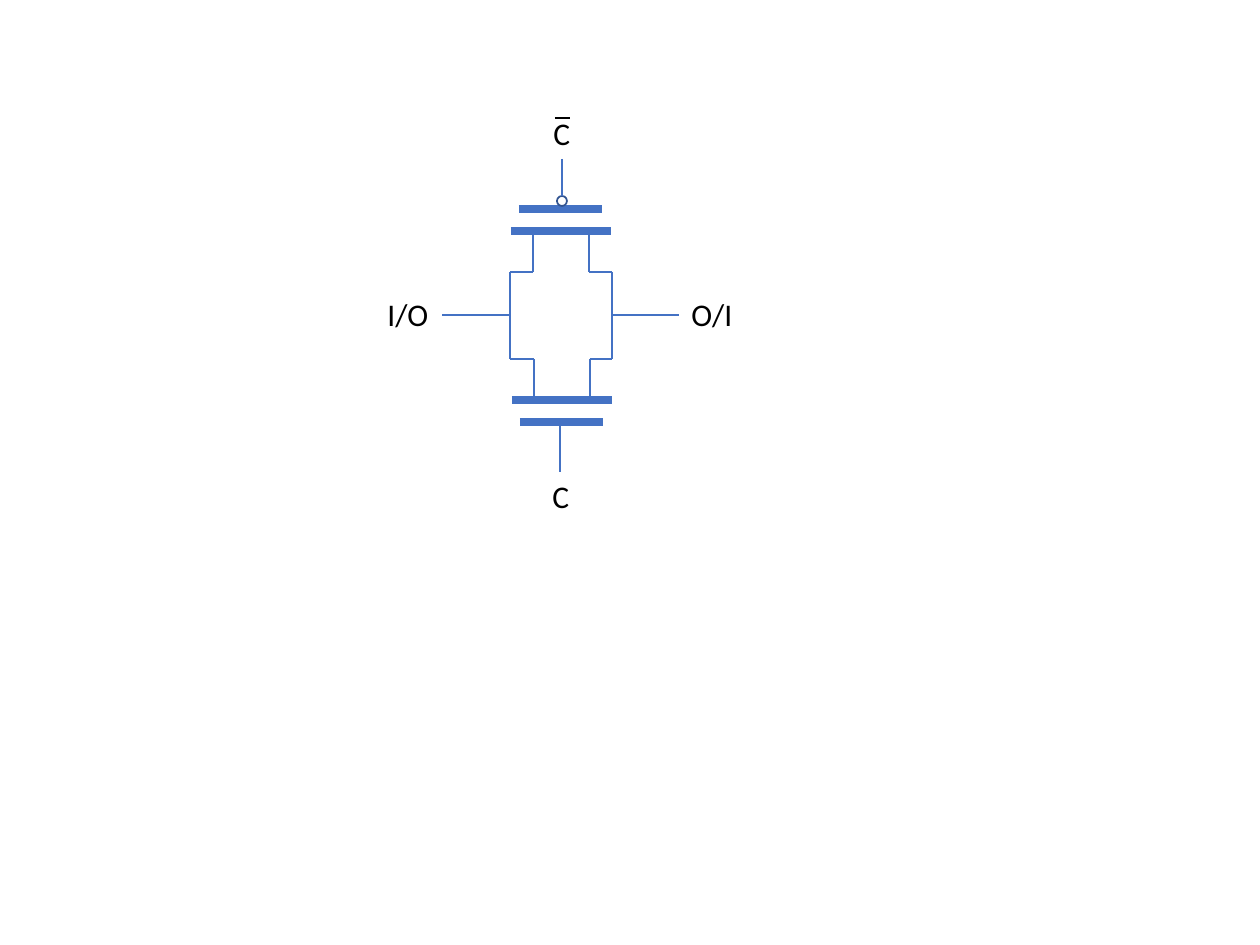
from pptx import Presentation
from pptx.dml.color import RGBColor
from pptx.enum.shapes import MSO_CONNECTOR, MSO_SHAPE
from pptx.enum.text import MSO_ANCHOR, MSO_AUTO_SIZE
from pptx.util import Inches, Pt
from lxml.etree import SubElement
from pptx.oxml.ns import qn

PIXEL = Inches(1) / 126
WIRE, PLATE = 1.5, 4.5
BLUE, DARK_BLUE, BLACK, WHITE = "4472C4", "325491", "000000", "FFFFFF"
LEFT_RAIL, RIGHT_RAIL = 510, 612
TOP_TIE, MIDDLE, BOTTOM_TIE = 272, 315, 359


def px(value):
    """Turn pixels into EMU."""
    return round(value * PIXEL)


def color(value):
    """Turn a hex string into a colour."""
    return RGBColor.from_string(value)


def add_line(shapes, x1, y1, x2, y2, width=WIRE, line_color=BLUE):
    """Draw a straight line without a shadow."""
    line = shapes.add_connector(MSO_CONNECTOR.STRAIGHT, px(x1), px(y1), px(x2), px(y2))
    line.line.color.rgb = color(line_color)
    line.line.width = Pt(width)
    SubElement(line._element.spPr, qn("a:effectLst"))


def add_label(shapes, text, left, top, width):
    """Write one terminal name."""
    frame = shapes.add_textbox(px(left), px(top), px(width), px(51)).text_frame
    frame.word_wrap = False
    frame.auto_size = MSO_AUTO_SIZE.SHAPE_TO_FIT_TEXT
    frame.vertical_anchor = MSO_ANCHOR.TOP
    frame.text = text
    font = frame.paragraphs[0].runs[0].font
    font.name, font.size = "Calibri", Pt(18)
    font.color.rgb = color(BLACK)


def add_bubble(shapes, left, top, size):
    """Draw the inverting circle on a gate."""
    bubble = shapes.add_shape(MSO_SHAPE.OVAL, px(left), px(top), px(size), px(size))
    bubble.shadow.inherit = False
    bubble.fill.solid()
    bubble.fill.fore_color.rgb = color(WHITE)
    bubble.line.color.rgb = color(DARK_BLUE)
    bubble.line.width = Pt(1)


def add_transistor(slide, left, gate_y, channel_y, tie_y, lead, inverted=False):
    """Group gate, channel, legs and gate lead; lead is x, outer y, inner y."""
    shapes = slide.shapes.add_group_shape().shapes
    add_line(shapes, left + 8, gate_y, left + 91, gate_y, PLATE)
    add_line(shapes, left, channel_y, left + 100, channel_y, PLATE)
    for leg_x, rail_x in ((left + 22, LEFT_RAIL), (left + 78, RIGHT_RAIL)):
        add_line(shapes, leg_x, channel_y, leg_x, tie_y)
        add_line(shapes, leg_x, tie_y, rail_x, tie_y)
    lead_x, outer_y, inner_y = lead
    if inverted:
        add_bubble(shapes, lead_x - 5, inner_y, 10)
    add_line(shapes, lead_x, outer_y, lead_x, inner_y)


def main():
    """Build the transmission gate slide."""
    presentation = Presentation()
    presentation.slide_width, presentation.slide_height = Inches(10), Inches(7.5)
    slide = presentation.slides.add_slide(presentation.slide_layouts[6])
    shapes = slide.shapes

    for rail_x, terminal_x in ((LEFT_RAIL, 442), (RIGHT_RAIL, 679)):
        add_line(shapes, rail_x, TOP_TIE, rail_x, BOTTOM_TIE)
        add_line(shapes, rail_x, MIDDLE, terminal_x, MIDDLE)

    add_transistor(slide, 511, 209, 231, TOP_TIE, (562, 159, 196), inverted=True)
    add_transistor(slide, 512, 422, 400, BOTTOM_TIE, (560, 472, 425))

    for text, left, top, width in (
        ("C", 541, 108, 44),
        ("I/O", 375, 289, 67),
        ("C", 540, 471, 44),
        ("O/I", 679, 289, 67),
    ):
        add_label(shapes, text, left, top, width)
    add_line(shapes, 555, 118, 570, 118, line_color=BLACK)

    presentation.save("out.pptx")


main()
